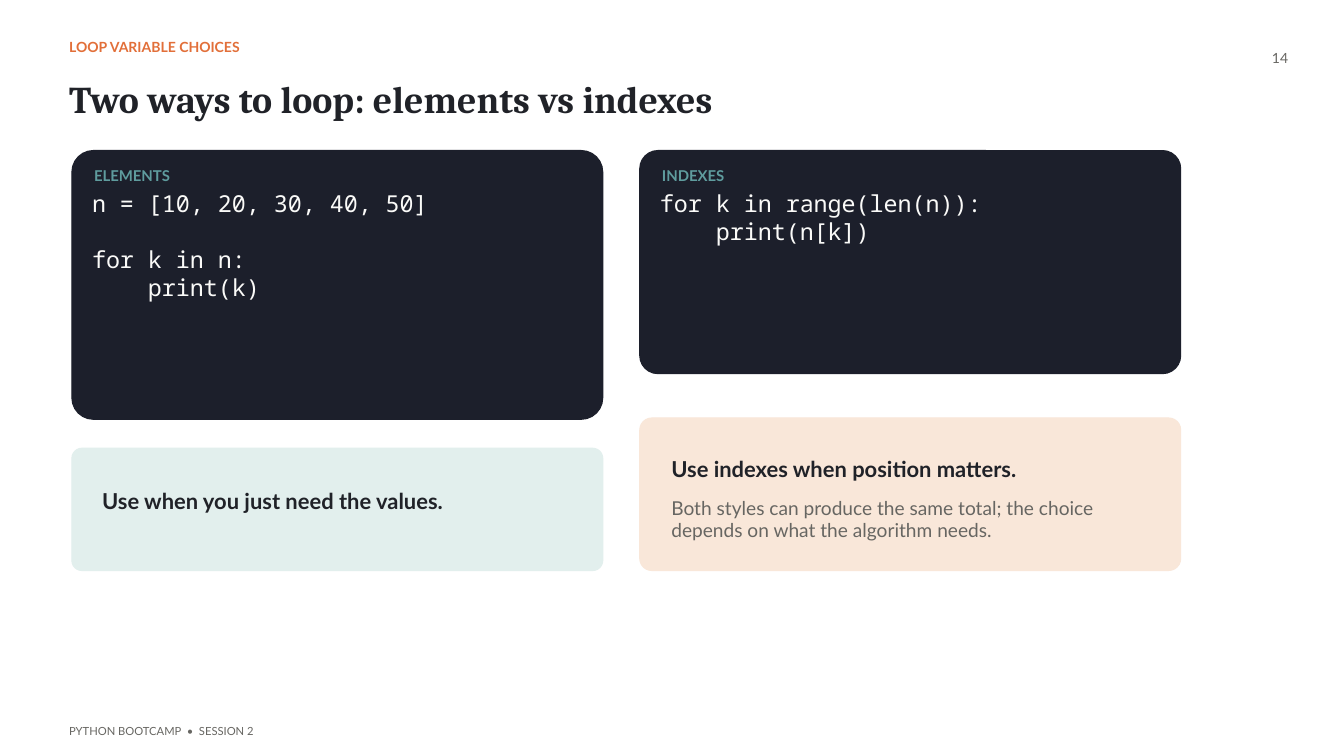
"""Build the slide that compares looping over elements with looping over indexes."""
import pptx
import pptx.dml.color
import pptx.enum.shapes
import pptx.enum.text
import pptx.util

Inches = pptx.util.Inches
Pt = pptx.util.Pt
ALIGN = pptx.enum.text.PP_ALIGN

COLORS = {
    "orange": "E26F39",
    "ink": "202228",
    "grey": "676662",
    "navy": "1C1F2B",
    "teal": "5F9C9E",
    "code": "FAFAF8",
    "mint": "E2EFED",
    "peach": "F9E7D9",
}

STYLES = {
    "kicker": {"name": "Lato", "size": 15, "bold": True, "color": "orange", "leading": 18},
    "title": {"name": "Cambria", "size": 40.5, "bold": True, "color": "ink", "leading": 48.6},
    "number": {"name": "Lato", "size": 15, "bold": False, "color": "grey", "leading": 18},
    "label": {"name": "Lato", "size": 16, "bold": True, "color": "teal", "leading": 19.2},
    "code": {"name": "Noto Sans Mono", "size": 25, "bold": False, "color": "code", "leading": 30},
    "lead": {"name": "Lato", "size": 23.5, "bold": True, "color": "ink", "leading": 28.2},
    "body": {"name": "Lato", "size": 20.5, "bold": False, "color": "grey", "leading": 24.6},
    "footer": {"name": "Lato", "size": 12, "bold": False, "color": "grey", "leading": 14.4},
}


def rgb(color):
    """Return the named colour as an RGB value."""
    return pptx.dml.color.RGBColor.from_string(COLORS[color])


class Deck:
    """Hold the presentation, its text styles and the current slide."""

    def __init__(self, width, height):
        """Start a presentation with one title-only slide."""
        self.prs = pptx.Presentation()
        self.prs.slide_width, self.prs.slide_height = Inches(width), Inches(height)
        self.slide = self.prs.slides.add_slide(self.prs.slide_layouts[5])

    def fill_text(self, sp, text, style, align=ALIGN.LEFT):
        """Fill a shape with styled lines, turning an empty line into space before the next."""
        fmt = STYLES[style]
        tf = sp.text_frame
        frame = {
            "word_wrap": True,
            "auto_size": pptx.enum.text.MSO_AUTO_SIZE.NONE,
            "vertical_anchor": pptx.enum.text.MSO_ANCHOR.TOP,
        }
        frame.update(dict.fromkeys(("margin_left", "margin_top", "margin_right", "margin_bottom"), 0))
        for key, value in frame.items():
            setattr(tf, key, value)
        p, gap = tf.paragraphs[0], 0
        for i, line in enumerate(text.split("\n")):
            if not line:
                gap += fmt["leading"]
                continue
            if i:
                p = tf.add_paragraph()
            para = {"alignment": align, "line_spacing": Pt(fmt["leading"]), "space_before": Pt(gap)}
            for key, value in para.items():
                setattr(p, key, value)
            gap = 0
            r = p.add_run()
            r.text = line
            font = {"name": fmt["name"], "size": Pt(fmt["size"]), "bold": fmt["bold"]}
            for key, value in font.items():
                setattr(r.font, key, value)
            r.font.color.rgb = rgb(fmt["color"])

    def title(self, left, top, width, height, text):
        """Move the title placeholder and set the title."""
        sp = self.slide.shapes.title
        box = {"left": left, "top": top, "width": width, "height": height}
        for key, value in box.items():
            setattr(sp, key, Inches(value))
        self.fill_text(sp, text, "title")

    def text(self, left, top, width, height, text, style, align=ALIGN.LEFT):
        """Add a text box without margins."""
        sp = self.slide.shapes.add_textbox(*map(Inches, (left, top, width, height)))
        self.fill_text(sp, text, style, align)

    def card(self, left, top, width, height, radius, color):
        """Add a rounded card in one colour."""
        sp = self.slide.shapes.add_shape(
            pptx.enum.shapes.MSO_SHAPE.ROUNDED_RECTANGLE,
            *map(Inches, (left, top, width, height)))
        sp.adjustments[0] = radius / min(width, height)
        sp.shadow.inherit = False
        sp.fill.solid()
        sp.fill.fore_color.rgb = rgb(color)
        sp.line.color.rgb = rgb(color)
        sp.line.width = Pt(1.13)

    def code_card(self, left, width, height, radius, label, code):
        """Add a dark card with a label above its code."""
        top = 2.24
        self.card(left, top, width, height, radius, "navy")
        self.text(left + 0.33, top + 0.24, width - 0.66, 0.26, label, "label")
        self.text(left + 0.3, top + 0.57, width - 0.6, height - 0.9, code, "code")


def main():
    """Build and save the slide."""
    deck = Deck(20, 11.25)
    margin = 1.03
    deck.text(margin, 0.58, 8.61, 0.43, "LOOP VARIABLE CHOICES", "kicker")
    deck.title(margin, 1.12, 16.71, 0.89, "Two ways to loop: elements vs indexes")
    deck.text(18.44, 0.73, 0.73, 0.43, "14", "number", ALIGN.RIGHT)

    left, width = 1.07, 7.9
    deck.code_card(left, width, 4, 0.32, "ELEMENTS",
                   "n = [10, 20, 30, 40, 50]\n\nfor k in n:\n    print(k)")
    deck.card(left, 6.67, width, 1.82, 0.15, "mint")
    deck.text(left + 0.45, 7.26, 6.73, 0.39, "Use when you just need the values.", "lead")

    left, width = 9.52, 8.05
    deck.code_card(left, width, 3.32, 0.27, "INDEXES",
                   "for k in range(len(n)):\n    print(n[k])")
    deck.card(left, 6.22, width, 2.27, 0.18, "peach")
    deck.text(left + 0.47, 6.78, 6.73, 0.39, "Use indexes when position matters.", "lead")
    deck.text(left + 0.47, 7.38, 6.73, 0.67,
              "Both styles can produce the same total; the choice depends on what the algorithm needs.",
              "body")

    deck.text(margin, 10.78, 9.66, 0.23, "PYTHON BOOTCAMP  •  SESSION 2", "footer")
    deck.prs.save("out.pptx")


if __name__ == "__main__":
    main()
